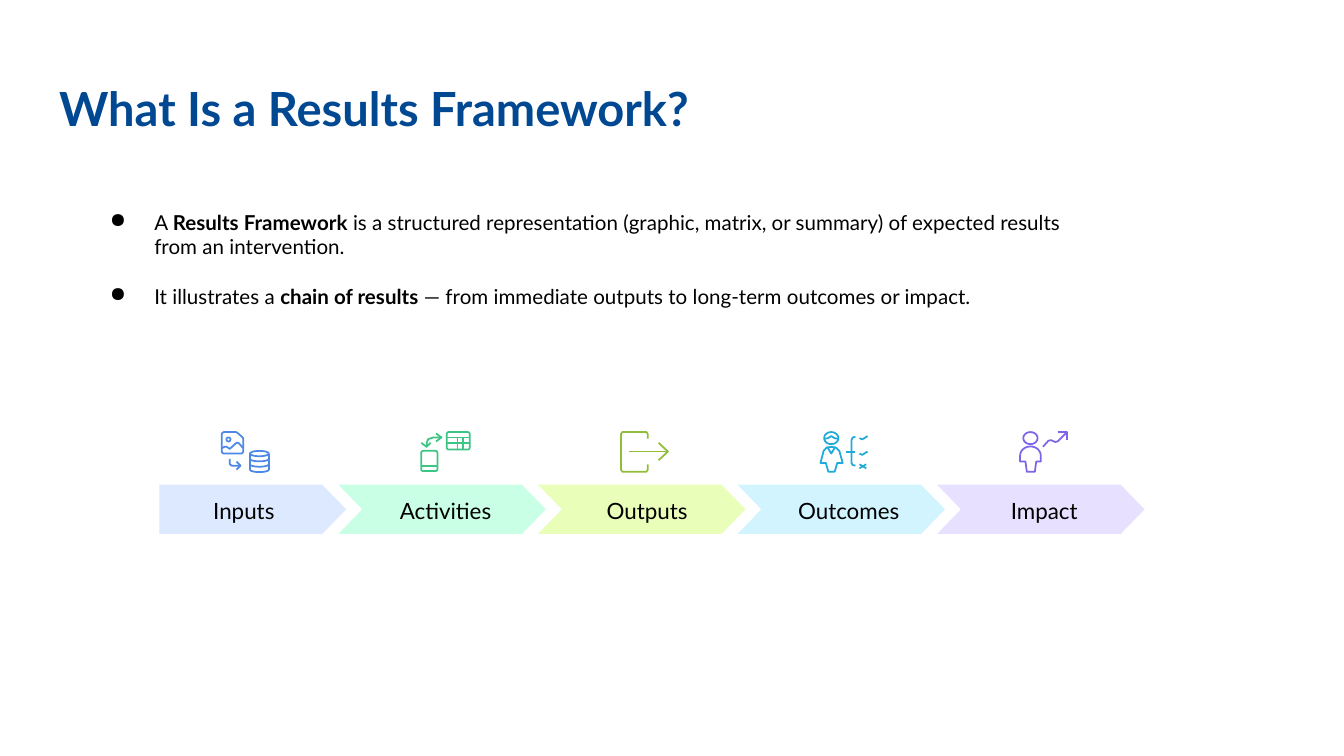
import math

import lxml.etree
import pptx
import pptx.dml.color
import pptx.enum.text
import pptx.oxml.ns
import pptx.util

RGB = pptx.dml.color.RGBColor
ALIGN = pptx.enum.text.PP_ALIGN
AUTO_SIZE = pptx.enum.text.MSO_AUTO_SIZE

WHITE, BLACK = RGB(255, 255, 255), RGB(0, 0, 0)
NAVY = RGB(0x00, 0x48, 0x92)
PALE_BLUE, BLUE = RGB(0xDC, 0xE9, 0xFF), RGB(0x4E, 0x88, 0xE7)
PALE_GREEN, GREEN = RGB(0xC8, 0xFF, 0xE5), RGB(0x3C, 0xC5, 0x83)
PALE_LIME, LIME = RGB(0xE9, 0xFF, 0xB9), RGB(0x92, 0xBD, 0x39)
PALE_CYAN, CYAN = RGB(0xD1, 0xF4, 0xFF), RGB(0x1E, 0xAB, 0xDA)
PALE_VIOLET, VIOLET = RGB(0xE7, 0xE1, 0xFF), RGB(0x7F, 0x64, 0xEA)

# The slide is a grid of square cells, 100 columns by 56.25 rows
COLUMNS, ROWS = 100, 56.25
CELL = pptx.util.Inches(0.1)
STAGE_STEP = 14.85


def add_run(paragraph, text, size=11, bold=False, color=BLACK, font="Lato"):
    run = paragraph.add_run()
    run.text = text
    run.font.name, run.font.size = font, pptx.util.Pt(size)
    run.font.bold, run.font.color.rgb = bold, color


def arc(cx, cy, rx, ry, start=0, sweep=360):
    """Points along an ellipse, clockwise on the slide, angles in degrees."""
    steps = max(4, abs(sweep) // 15)
    angles = [math.radians(start + sweep * i / steps) for i in range(steps + 1)]
    return [(cx + rx * math.cos(a), cy + ry * math.sin(a)) for a in angles]


def rounded(left, top, right, bottom, r=1.4):
    corners = [(left + r, top + r, 180), (right - r, top + r, 270),
               (right - r, bottom - r, 0), (left + r, bottom - r, 90)]
    points = [p for cx, cy, start in corners for p in arc(cx, cy, r, r, start, 90)]
    return points + points[:1]


# Icon strokes, in tenths of a cell from the icon's top left corner
DATA_ICON = [
    [(0, 1.5), (0.5, 0.5), (1.5, 0), (10.5, 0), (11.5, 0.4), (15.6, 4), (16, 5),
     (16, 14.5), (15.5, 15.5), (14.5, 16), (1.5, 16), (0.5, 15.5), (0, 14.5), (0, 1.5)],
    [(16, 12), (12.8, 8.4), (11.5, 7.8), (10.5, 8.4), (6, 12.5), (3.5, 10.8),
     (2, 11), (0, 12)],
    arc(5, 5.5, 1.5, 1.5),
    [(14, 25), (7.5, 25), (6, 24), (6, 20)],
    [(11, 28), (14, 25), (11, 22)],
    arc(28, 16, 7, 2), [(21, 16), (21, 28)], [(35, 16), (35, 28)],
    *[arc(28, y, 7, 1.8, 0, 180) for y in (20, 24, 28)],
]
DEVICE_ICON = [
    rounded(19, 0, 36, 13),
    *[[(19, y), (36, y)] for y in (4, 8)],
    *[[(x, 4), (x, 13)] for x in (27, 31)],
    [(7, 8), (4, 11), (4, 8), (5.2, 5.2), (9, 4), (15, 4)],
    [(0, 8), (4, 11)], [(11, 7), (15, 4), (11, 1)],
    rounded(0, 14, 12, 29), [(0, 25), (12, 25)],
]
EXIT_ICON = [
    [(20, 24), (20, 28), (19, 29.5), (1, 29.5), (0, 28), (0, 1.5), (1, 0),
     (19, 0), (20, 1.5), (20, 5)],
    [(35, 14.5), (6, 14.5)], [(28, 8), (35, 14.5), (28, 21)],
]
CHECKLIST_ICON = [
    [(26, 15), (19, 15)],
    [(26, 25), (24, 24.5), (23, 23), (23, 6), (24, 4), (26, 3.5)],
    *[[(35, y), (31, y + 2.5), (29, y + 1.5)] for y in (3, 14.5)],
    [(29, 24), (34, 27)], [(29, 27), (34, 24)],
    [(13, 5), (10.5, 4.6), (8, 3), (5.5, 4.6), (3, 5)],
    arc(8, 4.5, 5.3, 4.5),
    [(8, 11), (11.5, 11.6), (14, 14), (16.5, 23), (12.5, 23), (10.5, 29.5),
     (5.8, 29.5), (4, 23), (0, 23), (2.3, 14), (4.5, 11.6), (8, 11)],
    [(5, 11), (8, 16), (11, 11)],
]
GROWTH_ICON = [
    [(28, 0), (35, 0), (35, 6)],
    [(35, 0), (28, 7), (26, 7.4), (23, 6), (21, 6.5), (17, 11)],
    [(5, 29.5), (4, 22), (0, 22), *arc(7.7, 17.5, 7.7, 6.8, 180, 180),
     (15.4, 22), (12, 22), (11, 29.5), (5, 29.5)],
    arc(7.7, 4.5, 5.3, 4.5),
]


class ResultsSlide:
    stroke = pptx.util.Pt(0.93)

    def __init__(self, deck):
        deck.slide_width, deck.slide_height = int(COLUMNS * CELL), int(ROWS * CELL)
        self.slide = deck.slides.add_slide(deck.slide_layouts[5])
        self.shapes = self.slide.shapes
        self.slide.background.fill.solid()
        self.slide.background.fill.fore_color.rgb = WHITE

    def place(self, col, row, width, height):
        return [int(v * CELL) for v in (col, row, width, height)]

    def format_frame(self, frame, margins, auto_size, wrap=True):
        frame.word_wrap, frame.auto_size = wrap, auto_size
        side, end = (pptx.util.Inches(m) for m in margins)
        frame.margin_left = frame.margin_right = side
        frame.margin_top = frame.margin_bottom = end

    def title(self, text, box):
        title = self.shapes.title
        title.left, title.top, title.width, title.height = self.place(*box)
        frame = title.text_frame
        self.format_frame(frame, (0.1, 0.05), AUTO_SIZE.NONE)
        frame.vertical_anchor = pptx.enum.text.MSO_ANCHOR.MIDDLE
        frame.paragraphs[0].alignment = ALIGN.LEFT
        add_run(frame.paragraphs[0], text, size=25.2, bold=True, color=NAVY)

    def bullets(self, points, box):
        """Each point is a list of text parts; every second part is bold."""
        frame = self.shapes.add_textbox(*self.place(*box)).text_frame
        self.format_frame(frame, (0.1, 0.1), AUTO_SIZE.SHAPE_TO_FIT_TEXT)
        for i, parts in enumerate(points):
            paragraph = frame.add_paragraph() if i else frame.paragraphs[0]
            paragraph.space_before = pptx.util.Pt(13.2 if i else 0)
            for j, part in enumerate(parts):
                add_run(paragraph, part, bold=j % 2 == 1)
            settings = paragraph._p.get_or_add_pPr()
            settings.set("marL", str(pptx.util.Inches(0.5)))
            settings.set("indent", str(pptx.util.Inches(-0.33)))
            bullet = lxml.etree.SubElement(settings, pptx.oxml.ns.qn("a:buChar"))
            bullet.set("char", "●")

    def label(self, text, center, row, width):
        box = self.place(center - width / 2, row, width, 2)
        frame = self.shapes.add_textbox(*box).text_frame
        self.format_frame(frame, (0, 0), AUTO_SIZE.SHAPE_TO_FIT_TEXT, wrap=False)
        frame.paragraphs[0].alignment = ALIGN.CENTER
        add_run(frame.paragraphs[0], text, size=12)

    def outline(self, strokes, line, fill=None, origin=(0, 0), unit=1):
        """One freeform made of point lists, scaled by unit from origin."""
        builder = None
        for stroke in strokes:
            points = [tuple(int((o + v * unit) * CELL) for o, v in zip(origin, point))
                      for point in stroke]
            if builder is None:
                builder = self.shapes.build_freeform(*points[0])
            else:
                builder.move_to(*points[0])
            builder.add_line_segments(points[1:], close=False)
        shape = builder.convert_to_shape()
        shape.shadow.inherit = False
        shape.line.color.rgb, shape.line.width = line, self.stroke
        if fill is None:
            shape.fill.background()
        else:
            shape.fill.solid()
            shape.fill.fore_color.rgb = fill

    def chevron(self, left, right, notched, fill, top=36, height=3.8, point=1.85):
        middle, bottom = top + height / 2, top + height
        corners = [(left, top), (right - point, top), (right, middle),
                   (right - point, bottom), (left, bottom)]
        if notched:
            corners.append((left + point, middle))
        self.outline([corners + corners[:1]], WHITE, fill)


def main():
    deck = pptx.Presentation()
    page = ResultsSlide(deck)

    # Heading and definition
    page.title("What Is a Results Framework?", (3.4, 4.9, 93.2, 6.3))
    page.bullets([
        ["A ", "Results Framework", " is a structured representation (graphic, matrix, "
         "or summary) of expected results from an intervention."],
        ["It illustrates a ", "chain of results",
         " — from immediate outputs to long-term outcomes or impact."],
    ], (5.5, 14.6, 77.6, 9.4))

    # Results chain: label, its centre and width, fill, icon colour, icon
    stages = [
        ("Inputs", 18.15, 4.7, PALE_BLUE, BLUE, DATA_ICON),
        ("Activities", 33.15, 6.9, PALE_GREEN, GREEN, DEVICE_ICON),
        ("Outputs", 48.15, 6.1, PALE_LIME, LIME, EXIT_ICON),
        ("Outcomes", 63.15, 7.9, PALE_CYAN, CYAN, CHECKLIST_ICON),
        ("Impact", 77.7, 5.4, PALE_VIOLET, VIOLET, GROWTH_ICON),
    ]
    for i, (name, center, width, fill, color, icon) in enumerate(stages):
        shift = i * STAGE_STEP
        page.chevron(10.15 + shift if i else 11.8, 25.87 + shift, i > 0, fill)
        page.label(name, center, 37, width)
        page.outline(icon, color, origin=(16.5 + shift, 32.15), unit=0.1)

    deck.save("out.pptx")


if __name__ == "__main__":
    main()
